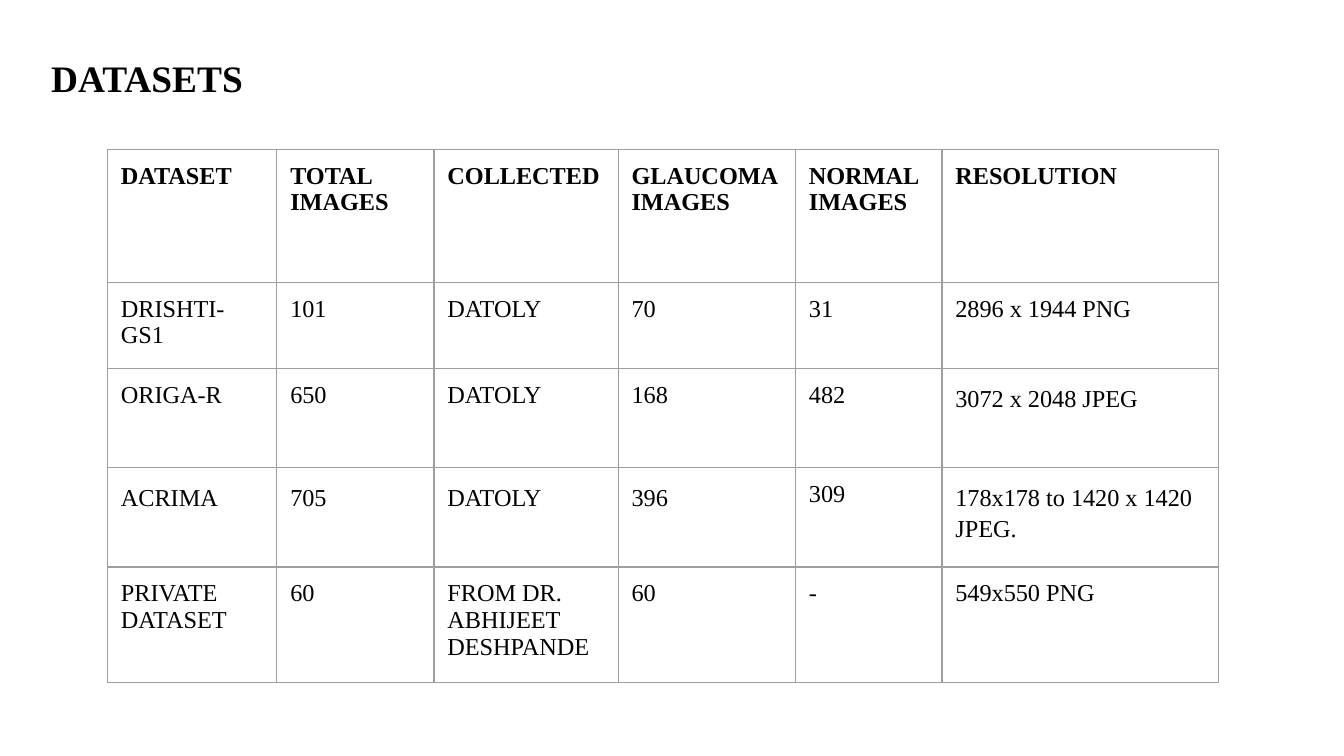
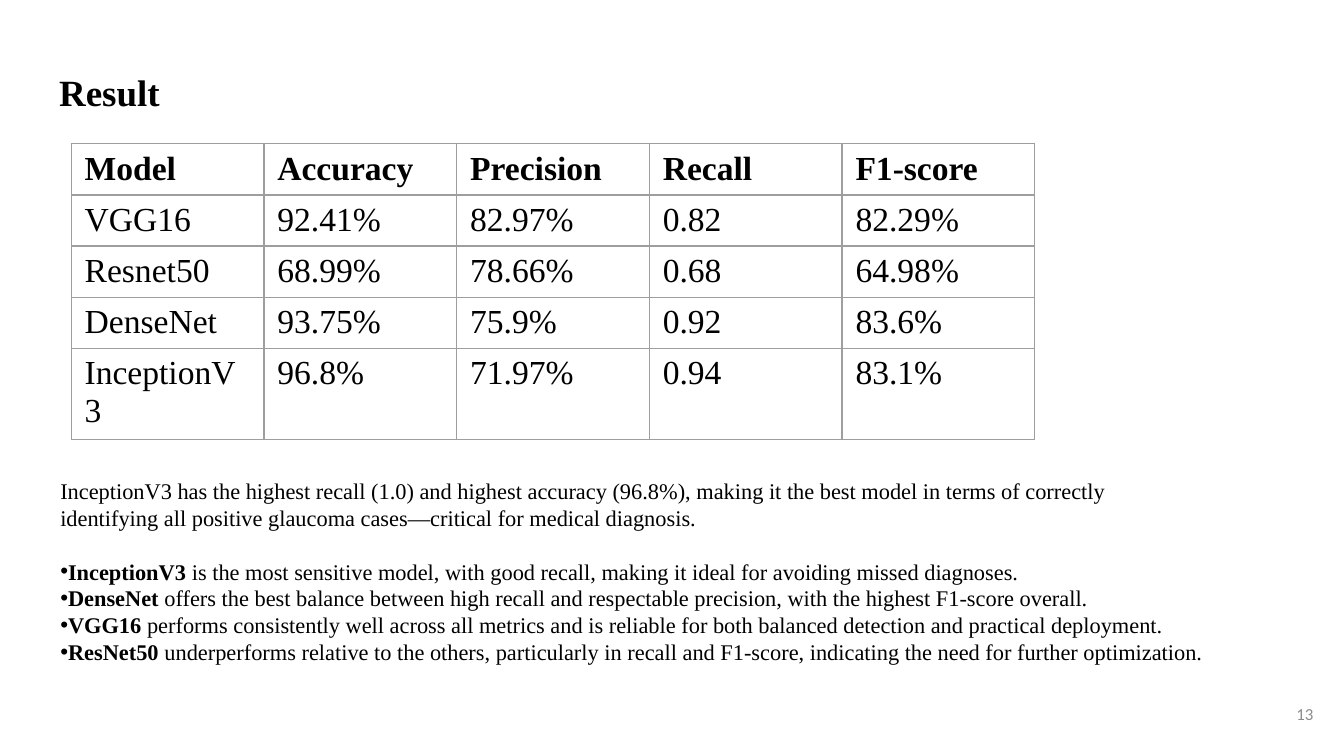
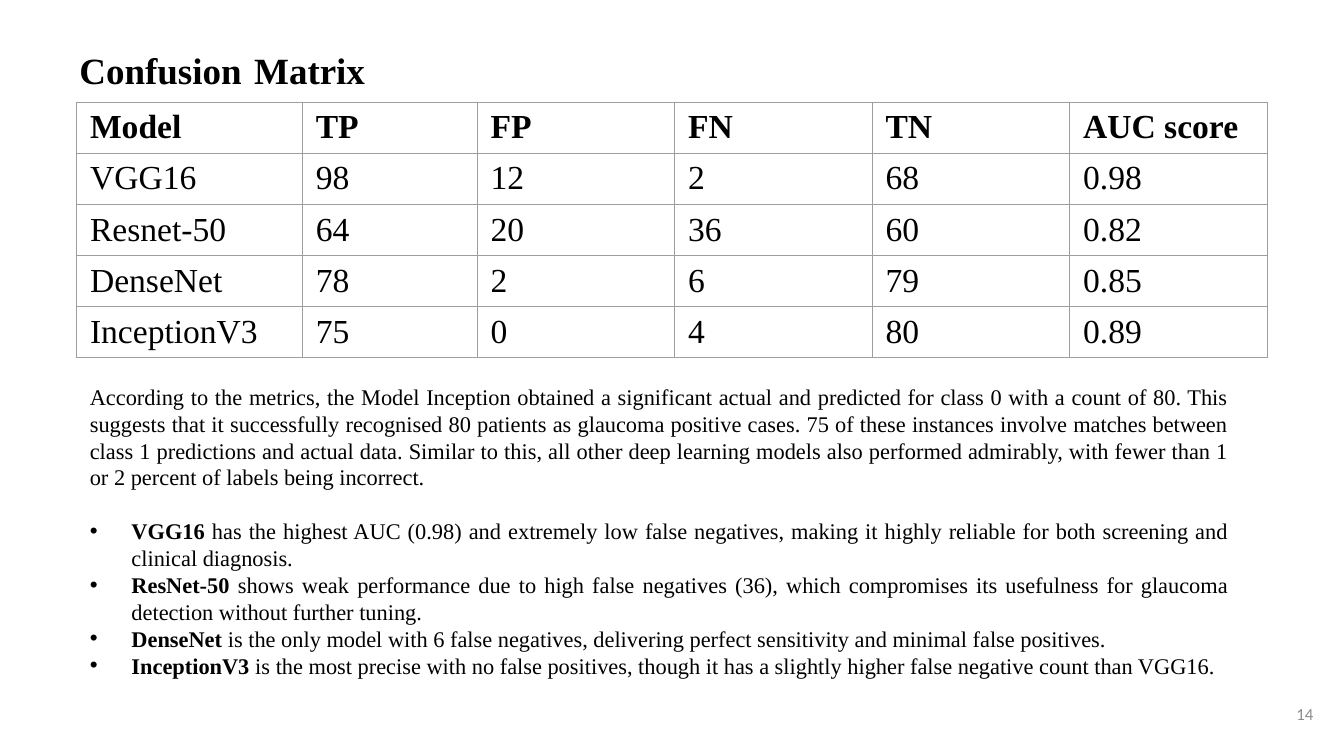
from lxml import etree
from pptx import Presentation
from pptx.dml.color import RGBColor
from pptx.enum import text
from pptx.oxml import ns
from pptx.util import Inches, Pt

BLACK = RGBColor(0x00, 0x00, 0x00)
GREY = RGBColor(0x8C, 0x8C, 0x8C)
BORDER = RGBColor(0x9E, 0x9E, 0x9E)
SERIF = "Times New Roman"
SANS = "Calibri"
TITLE_GAP_SIZE = 29.7
WIDE_INSETS = (0.1, 0.1, 0.1, 0.1)
TIGHT_INSETS = (0.1, 0.1, 0.05, 0.03)
BODY_SIZE = 12
BODY_LINE = 14.4

DATASETS = [
    ["DATASET", "TOTAL IMAGES", "COLLECTED", "GLAUCOMA IMAGES", "NORMAL\nIMAGES", "RESOLUTION"],
    ["DRISHTI-GS1", "101", "DATOLY", "70", "31", "2896 x 1944 PNG"],
    ["ORIGA-R", "650", "DATOLY", "168", "482", "3072 x 2048 JPEG"],
    ["ACRIMA", "705", "DATOLY", "396", "309", "178x178 to 1420 x 1420 JPEG."],
    ["PRIVATE DATASET", "60", "FROM DR. ABHIJEET DESHPANDE", "60", "-", "549x550 PNG"],
]
LOOSE_CELLS = {(2, 5), (3, 0), (3, 1), (3, 2), (3, 3), (3, 5)}

RESULTS = [
    ["Model", "Accuracy", "Precision", "Recall", "F1-score"],
    ["VGG16", "92.41%", "82.97%", "0.82", "82.29%"],
    ["Resnet50", "68.99%", "78.66%", "0.68", "64.98%"],
    ["DenseNet", "93.75%", "75.9%", "0.92", "83.6%"],
    ["InceptionV3", "96.8%", "71.97%", "0.94", "83.1%"],
]
RESULT_INTRO = [
    "InceptionV3 has the highest recall (1.0) and highest accuracy (96.8%), "
    "making it the best model in terms of correctly ",
    "identifying all positive glaucoma cases—critical for medical diagnosis.",
]
RESULT_POINTS = [
    ("InceptionV3", " is the most sensitive model, with good recall, "
     "making it ideal for avoiding missed diagnoses."),
    ("DenseNet", " offers the best balance between high recall and respectable precision, "
     "with the highest F1-score overall."),
    ("VGG16", " performs consistently well across all metrics and is reliable "
     "for both balanced detection and practical deployment."),
    ("ResNet50", " underperforms relative to the others, particularly in recall and F1-score, "
     "indicating the need for further optimization."),
]

CONFUSION = [
    ["Model", "TP", "FP", "FN", "TN", "AUC score"],
    ["VGG16", "98", "12", "2", "68", "0.98"],
    ["Resnet-50", "64", "20", "36", "60", "0.82"],
    ["DenseNet", "78", "2", "6", "79", "0.85"],
    ["InceptionV3", "75", "0", "4", "80", "0.89"],
]
CONFUSION_INTRO = [
    "According to the metrics, the Model Inception obtained a significant actual and predicted "
    "for class 0 with a count of 80. This suggests that it successfully recognised 80 patients "
    "as glaucoma positive cases. 75 of these instances involve matches between class 1 "
    "predictions and actual data. Similar to this, all other deep learning models also "
    "performed admirably, with fewer than 1 or 2 percent of labels being incorrect.",
]
CONFUSION_POINTS = [
    ("VGG16", " has the highest AUC (0.98) and extremely low false negatives, "
     "making it highly reliable for both screening and clinical diagnosis."),
    ("ResNet-50", " shows weak performance due to high false negatives (36), which compromises "
     "its usefulness for glaucoma detection without further tuning."),
    ("DenseNet", " is the only model with 6 false negatives, "
     "delivering perfect sensitivity and minimal false positives."),
    ("InceptionV3", " is the most precise with no false positives, "
     "though it has a slightly higher false negative count than VGG16."),
]


def format_run(run, size, bold=False, font=SERIF, color=BLACK):
    run.font.size = Pt(size)
    run.font.bold = bold
    run.font.name = font
    run.font.color.rgb = color


def add_run(paragraph, content, size, **style):
    run = paragraph.add_run()
    run.text = content
    format_run(run, size, **style)


def set_insets(target, insets):
    for side, inset in zip(("left", "right", "top", "bottom"), insets):
        setattr(target, f"margin_{side}", Inches(inset))


def add_title_slide(presentation, box, pieces, size):
    slide = presentation.slides.add_slide(presentation.slide_layouts[5])
    title = slide.shapes.title
    title.left, title.top, title.width, title.height = map(Inches, box)
    frame = title.text_frame
    frame.word_wrap = True
    frame.auto_size = text.MSO_AUTO_SIZE.NONE
    frame.vertical_anchor = text.MSO_ANCHOR.BOTTOM
    set_insets(frame, WIDE_INSETS)
    paragraph = frame.paragraphs[0]
    paragraph.alignment = text.PP_ALIGN.LEFT
    paragraph.line_spacing = 0.9
    for piece in pieces:
        if piece == " ":
            add_run(paragraph, piece, TITLE_GAP_SIZE, bold=True, font=SANS)
        else:
            add_run(paragraph, piece, size, bold=True)
    return slide


def add_borders(cell):
    properties = cell._tc.get_or_add_tcPr()
    for index, side in enumerate(("lnL", "lnR", "lnT", "lnB")):
        line = etree.Element(ns.qn(f"a:{side}"), w=str(Pt(0.75)))
        fill = etree.SubElement(line, ns.qn("a:solidFill"))
        etree.SubElement(fill, ns.qn("a:srgbClr"), val=str(BORDER))
        properties.insert(index, line)


def add_grid(slide, box, rows, widths, heights, size, insets, loose=()):
    table = slide.shapes.add_table(len(rows), len(widths), *map(Inches, box)).table
    table.first_row = False
    table.horz_banding = False
    for column, width in zip(table.columns, widths):
        column.width = Inches(width)
    for row, height in zip(table.rows, heights):
        row.height = Inches(height)
    for row_index, values in enumerate(rows):
        for column_index, value in enumerate(values):
            cell = table.cell(row_index, column_index)
            cell.text_frame.text = value
            cell.fill.background()
            add_borders(cell)
            set_insets(cell, insets)
            for paragraph in cell.text_frame.paragraphs:
                if (row_index, column_index) in loose:
                    paragraph.line_spacing = 1.15
                for run in paragraph.runs:
                    format_run(run, size, bold=row_index == 0)


def add_bullet(paragraph, indent):
    properties = paragraph._p.get_or_add_pPr()
    properties.set("marL", str(Inches(indent)))
    properties.set("indent", str(-Inches(indent)))
    etree.SubElement(properties, ns.qn("a:buFont"), typeface="Arial")
    etree.SubElement(properties, ns.qn("a:buChar"), char="•")


def add_discussion(slide, box, intro, points, indent):
    frame = slide.shapes.add_textbox(*map(Inches, box)).text_frame
    frame.word_wrap = True
    frame.text = "\n".join(intro)
    for paragraph in frame.paragraphs:
        format_run(paragraph.runs[0], BODY_SIZE)
    frame.paragraphs[-1].space_after = Pt(BODY_LINE)
    for model, finding in points:
        paragraph = frame.add_paragraph()
        add_bullet(paragraph, indent)
        add_run(paragraph, model, BODY_SIZE, bold=True)
        add_run(paragraph, finding, BODY_SIZE)
    for paragraph in frame.paragraphs:
        paragraph.alignment = text.PP_ALIGN.JUSTIFY


def add_page_number(slide, number):
    box = (9.27, 5.1, 0.6, 0.43)
    frame = slide.shapes.add_textbox(*map(Inches, box)).text_frame
    frame.word_wrap = True
    frame.vertical_anchor = text.MSO_ANCHOR.MIDDLE
    set_insets(frame, WIDE_INSETS)
    paragraph = frame.paragraphs[0]
    paragraph.alignment = text.PP_ALIGN.RIGHT
    add_run(paragraph, str(number), 9, font=SANS, color=GREY)


def build_datasets(presentation):
    slide = add_title_slide(presentation, (0.28, 0.22, 9.32, 0.63), ["DATASETS"], 20)
    add_grid(slide, (0.8, 1.11, 8.27, 3.97), DATASETS,
             [1.26, 1.17, 1.37, 1.32, 1.09, 2.06], [0.99, 0.64, 0.74, 0.74, 0.86],
             13, WIDE_INSETS, LOOSE_CELLS)


def build_result(presentation):
    slide = add_title_slide(presentation, (0.34, 0.35, 9.32, 0.63), ["Result", " "], 19.8)
    add_page_number(slide, 13)
    add_grid(slide, (0.53, 1.07, 7.17, 1.75), RESULTS,
             [7.17 / 5] * 5, [0.35] * 5, 18, TIGHT_INSETS)
    add_discussion(slide, (0.35, 3.5, 9.31, 1.82), RESULT_INTRO, RESULT_POINTS, 0)


def build_confusion(presentation):
    slide = add_title_slide(presentation, (0.49, 0.39, 9.32, 0.43),
                            ["Confusion", " ", "Matrix"], 19.8)
    add_page_number(slide, 14)
    add_grid(slide, (0.57, 0.76, 8.85, 1.64), CONFUSION,
             [1.68, 1.3] + [1.47] * 4, [0.24] + [0.31] * 3 + [0.34], 18, TIGHT_INSETS)
    add_discussion(slide, (0.57, 2.8, 8.68, 2.52), CONFUSION_INTRO, CONFUSION_POINTS, 0.31)


def main():
    presentation = Presentation()
    presentation.slide_width = Inches(10)
    presentation.slide_height = presentation.slide_width * 9 // 16
    build_datasets(presentation)
    build_result(presentation)
    build_confusion(presentation)
    presentation.save("out.pptx")


if __name__ == "__main__":
    main()
